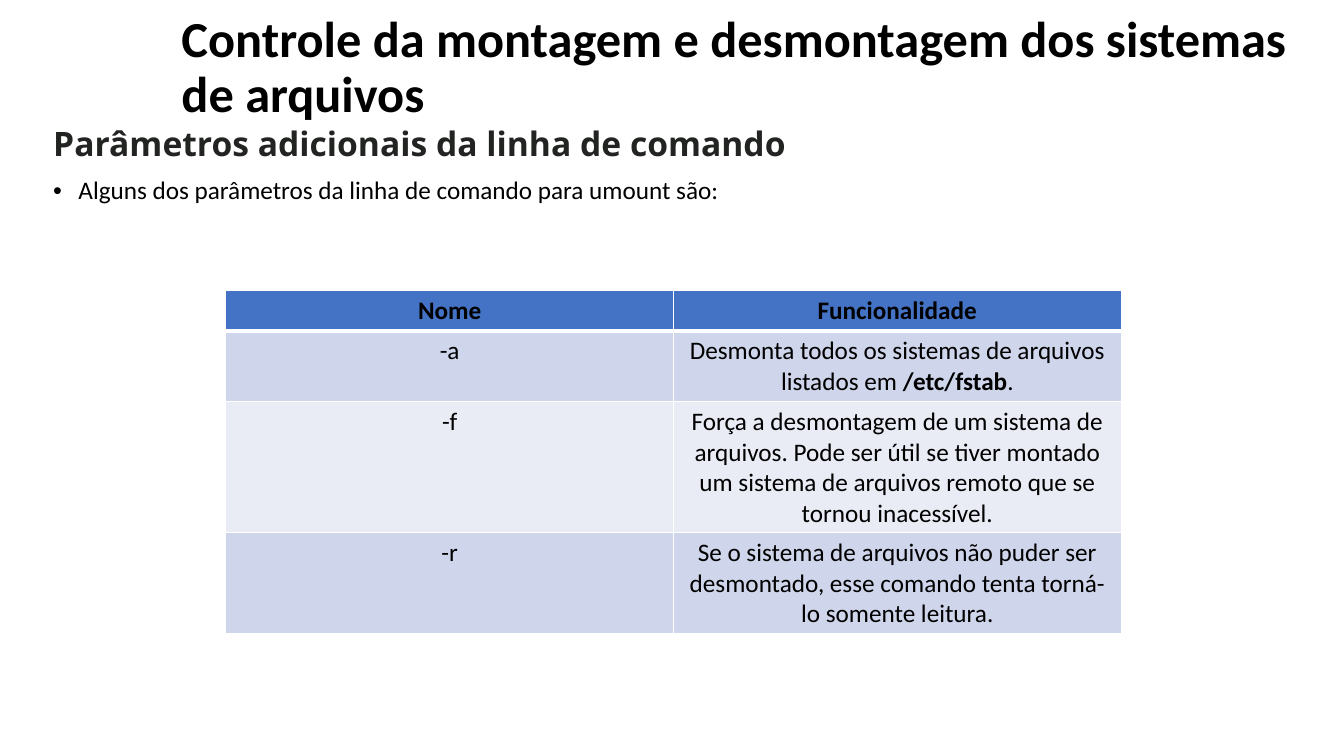
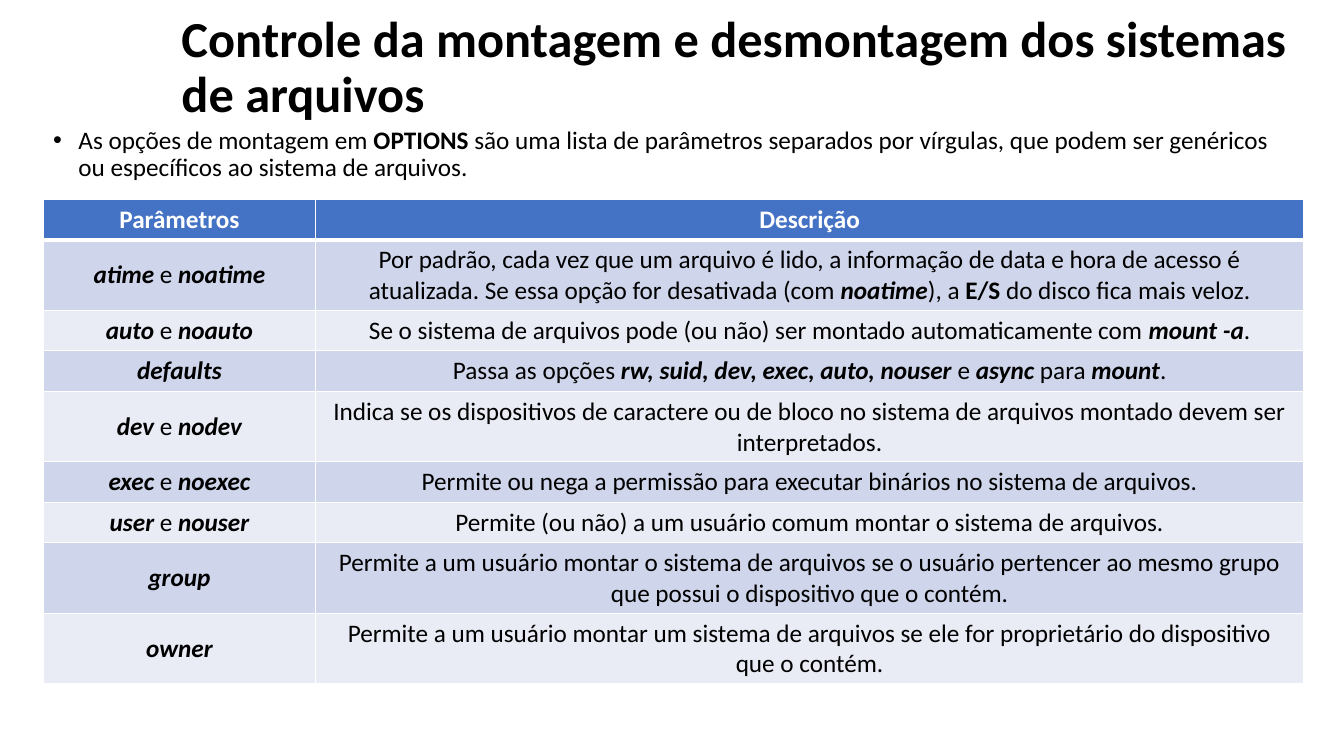
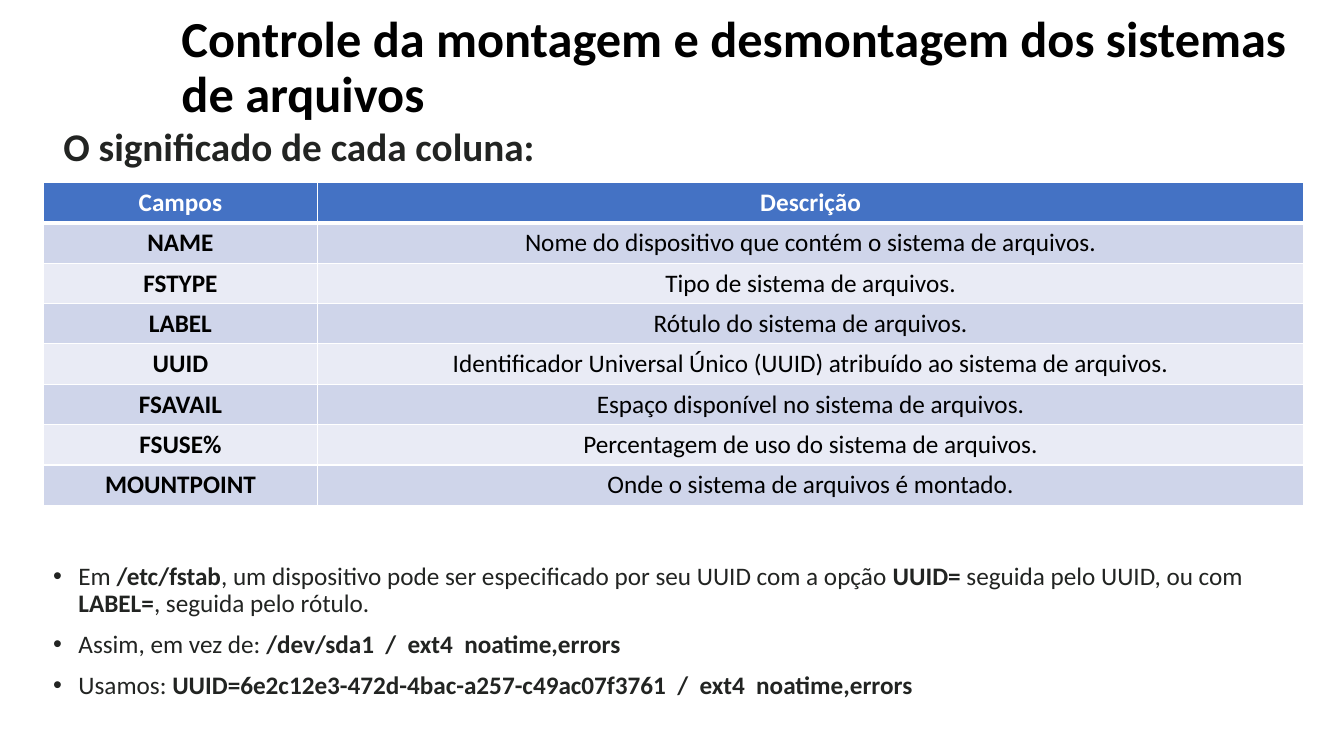
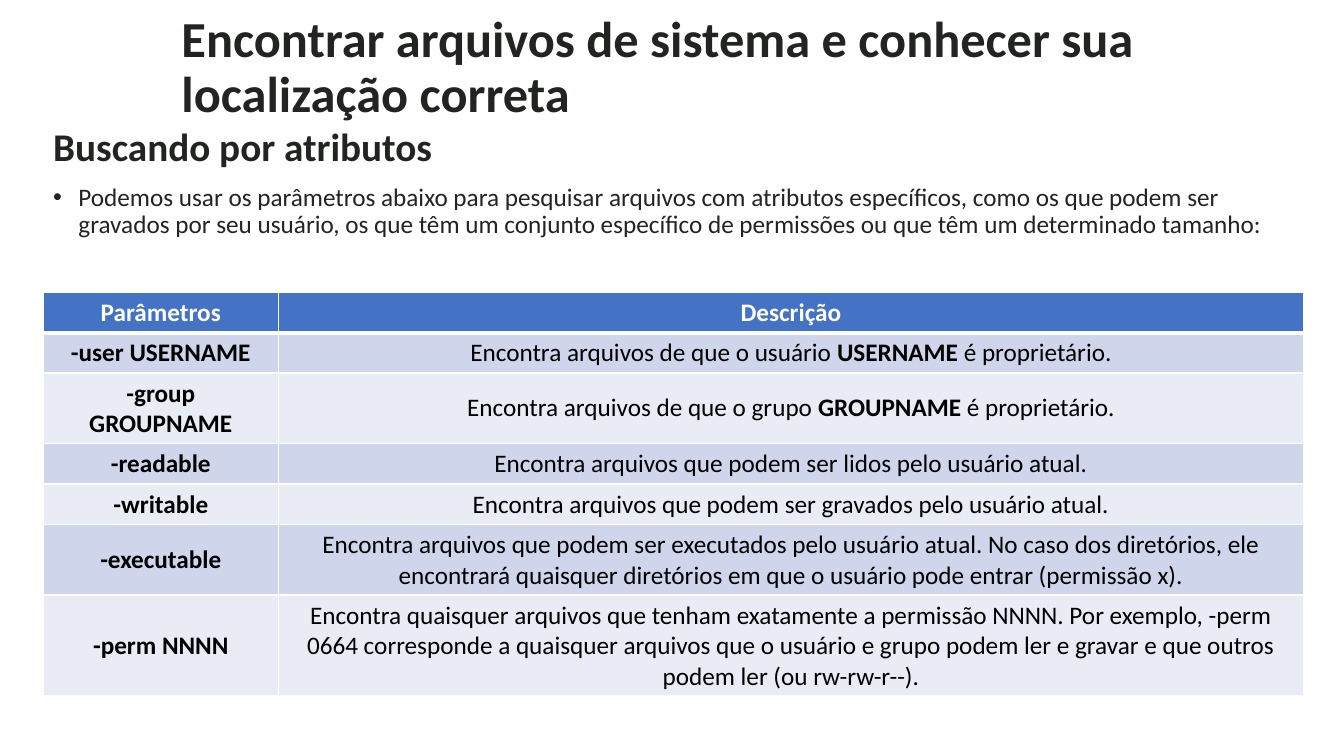
from lxml import etree
from pptx import Presentation
from pptx import util as u
from pptx.dml.color import RGBColor
from pptx.enum import text
from pptx.oxml import ns

COLORS = {
    "black": "000000",
    "ink": "222422",
    "white": "FFFFFF",
    "header": "4472C4",
    "band_dark": "CFD5EA",
    "band_light": "E9EBF5",
}
MOUNT_TITLE = "Controle da montagem e desmontagem dos sistemas de arquivos"
FIND_TITLE = "Encontrar arquivos de sistema e conhecer sua localização correta"


class Deck:
    """Shared style, and the slide being filled."""

    font = "Calibri"
    left, width = 0.43, 12.5
    body_top = 1.22
    row_height = 0.4  # rows grow with their text

    def __init__(self):
        self.presentation = Presentation()
        self.presentation.slide_width = u.Inches(13.33)
        self.presentation.slide_height = u.Inches(7.5)
        self.slide = None

    def add_slide(self, title, color="black"):
        layout = self.presentation.slide_layouts[5]
        self.slide = self.presentation.slides.add_slide(layout)
        shape = self.slide.shapes.title
        shape.left, shape.top = u.Inches(1.7), u.Inches(0.26)
        shape.width, shape.height = u.Inches(11.23), u.Inches(0.84)
        frame = shape.text_frame
        frame.word_wrap = True
        frame.auto_size = text.MSO_AUTO_SIZE.NONE
        frame.vertical_anchor = text.MSO_ANCHOR.MIDDLE
        paragraph = frame.paragraphs[0]
        paragraph.alignment = text.PP_ALIGN.LEFT
        paragraph.line_spacing = 0.9
        self.add_runs(paragraph, f"*{title}*", 36, color)

    def add_runs(self, paragraph, marked, size=18, color="black", font=None):
        """Add runs: *bold*, _bold italic_."""
        for i, piece in enumerate(marked.split("*")):
            for j, part in enumerate(piece.split("_")):
                if not part:
                    continue
                run = paragraph.add_run()
                run.text = part
                run.font.name = font or self.font
                run.font.size = u.Pt(size)
                run.font.bold = bool(i % 2 or j % 2)
                run.font.italic = bool(j % 2)
                run.font.color.rgb = RGBColor.from_string(COLORS[color])

    def indent(self, paragraph, margin, bullet=False):
        properties = paragraph._p.get_or_add_pPr()
        properties.set("marL", str(u.Inches(margin)))
        if bullet:
            properties.set("indent", str(-u.Inches(margin)))
            bullet_font = etree.SubElement(properties, ns.qn("a:buFont"))
            bullet_font.set("typeface", "Arial")
            etree.SubElement(properties, ns.qn("a:buChar")).set("char", "•")

    def body(self, bullets=(), heading=None, top=body_top, height=1.2,
             color="black", heading_size=28, heading_font=None,
             heading_indent=0):
        box = self.slide.shapes.add_textbox(
            u.Inches(self.left), u.Inches(top),
            u.Inches(self.width), u.Inches(height))
        frame = box.text_frame
        frame.word_wrap = True
        lines = ([heading] if heading else []) + list(bullets)
        for number, line in enumerate(lines):
            paragraph = frame.add_paragraph() if number else frame.paragraphs[0]
            paragraph.line_spacing = 0.9
            if number:
                paragraph.space_before = u.Pt(10)
            if line is heading:
                self.indent(paragraph, heading_indent)
                self.add_runs(paragraph, f"*{line}*", heading_size, "ink", heading_font)
            else:
                self.indent(paragraph, 0.25, bullet=True)
                self.add_runs(paragraph, line, color=color)

    def borders(self, cell, top, bottom):
        properties = cell._tc.get_or_add_tcPr()
        for side, points in (("L", 1), ("R", 1), ("T", top), ("B", bottom)):
            line = etree.SubElement(properties, ns.qn(f"a:ln{side}"))
            line.set("w", str(u.Pt(points)))
            fill = etree.SubElement(line, ns.qn("a:solidFill"))
            etree.SubElement(fill, ns.qn("a:srgbClr")).set("val", COLORS["white"])

    def table(self, top, columns, rows, left=left, header_color="white",
              anchor=text.MSO_ANCHOR.MIDDLE):
        """Draw a banded table; the first of the rows is the header."""
        table = self.slide.shapes.add_table(
            len(rows), len(columns), u.Inches(left), u.Inches(top),
            u.Inches(sum(columns)), u.Inches(self.row_height * len(rows))).table
        table.horz_banding = False
        for column, width in zip(table.columns, columns):
            column.width = u.Inches(width)
        for r, row in enumerate(rows):
            band = "header" if r == 0 else "band_dark" if r % 2 else "band_light"
            for c, marked in enumerate(row):
                cell = table.cell(r, c)
                self.borders(cell, top=3 if r == 1 else 1, bottom=1 if r else 3)
                cell.fill.solid()
                cell.fill.fore_color.rgb = RGBColor.from_string(COLORS[band])
                cell.vertical_anchor = anchor
                paragraph = cell.text_frame.paragraphs[0]
                paragraph.alignment = text.PP_ALIGN.CENTER
                self.add_runs(paragraph, marked, color="black" if r else header_color)


def main():
    deck = Deck()

    # Parameters of umount
    deck.add_slide(MOUNT_TITLE)
    deck.body(["Alguns dos parâmetros da linha de comando para umount são:"],
              heading="Parâmetros adicionais da linha de comando",
              heading_size=24, heading_font="Noto Sans")
    deck.table(2.88, [4.44, 4.44], [
        ("*Nome*", "*Funcionalidade*"),
        ("-a", "Desmonta todos os sistemas de arquivos listados em */etc/fstab*."),
        ("-f", "Força a desmontagem de um sistema de arquivos. Pode ser útil se "
               "tiver montado um sistema de arquivos remoto que se tornou inacessível."),
        ("-r", "Se o sistema de arquivos não puder ser desmontado, esse comando "
               "tenta torná-lo somente leitura."),
    ], left=2.24, header_color="black", anchor=text.MSO_ANCHOR.TOP)

    # Mount options
    deck.add_slide(MOUNT_TITLE)
    deck.body(["As opções de montagem em *OPTIONS* são uma lista de parâmetros "
               "separados por vírgulas, que podem ser genéricos ou específicos "
               "ao sistema de arquivos."], height=0.7)
    deck.table(1.98, [2.7, 9.8], [
        ("*Parâmetros*", "*Descrição*"),
        ("_atime_ e _noatime_",
         "Por padrão, cada vez que um arquivo é lido, a informação de data e hora "
         "de acesso é atualizada. Se essa opção for desativada (com _noatime_), "
         "a *E/S* do disco fica mais veloz."),
        ("_auto_ e _noauto_",
         "Se o sistema de arquivos pode (ou não) ser montado automaticamente "
         "com _mount -a_."),
        ("_defaults_",
         "Passa as opções _rw, suid, dev, exec, auto, nouser_ e _async_ para _mount_."),
        ("_dev_ e _nodev_",
         "Indica se os dispositivos de caractere ou de bloco no sistema de arquivos "
         "montado devem ser interpretados."),
        ("_exec_ e _noexec_",
         "Permite ou nega a permissão para executar binários no sistema de arquivos."),
        ("_user_ e _nouser_",
         "Permite (ou não) a um usuário comum montar o sistema de arquivos."),
        ("_group_",
         "Permite a um usuário montar o sistema de arquivos se o usuário pertencer "
         "ao mesmo grupo que possui o dispositivo que o contém."),
        ("_owner_",
         "Permite a um usuário montar um sistema de arquivos se ele for "
         "proprietário do dispositivo que o contém."),
    ])

    # Columns of the file system listing
    deck.add_slide(MOUNT_TITLE)
    deck.body(heading="O significado de cada coluna:", heading_indent=0.1, height=0.55)
    deck.table(1.81, [2.72, 9.78], [
        ("*Campos*", "*Descrição*"),
        ("*NAME*", "Nome do dispositivo que contém o sistema de arquivos."),
        ("*FSTYPE*", "Tipo de sistema de arquivos."),
        ("*LABEL*", "Rótulo do sistema de arquivos."),
        ("*UUID*", "Identificador Universal Único (UUID) atribuído ao sistema de arquivos."),
        ("*FSAVAIL*", "Espaço disponível no sistema de arquivos."),
        ("*FSUSE%*", "Percentagem de uso do sistema de arquivos."),
        ("*MOUNTPOINT*", "Onde o sistema de arquivos é montado."),
    ])
    deck.body([
        "Em */etc/fstab*, um dispositivo pode ser especificado por seu UUID com a "
        "opção *UUID=* seguida pelo UUID, ou com *LABEL=*, seguida pelo rótulo.",
        "Assim, em vez de: */dev/sda1  /  ext4  noatime,errors*",
        "Usamos: *UUID=6e2c12e3-472d-4bac-a257-c49ac07f3761  /  ext4  noatime,errors*",
    ], top=5.54, height=1.5, color="ink")

    # Searching by attributes
    deck.add_slide(FIND_TITLE, color="ink")
    deck.body(["Podemos usar os parâmetros abaixo para pesquisar arquivos com "
               "atributos específicos, como os que podem ser gravados por seu "
               "usuário, os que têm um conjunto específico de permissões ou que "
               "têm um determinado tamanho:"],
              heading="Buscando por atributos", color="ink")
    deck.table(2.9, [2.33, 10.17], [
        ("*Parâmetros*", "*Descrição*"),
        ("*-user USERNAME*",
         "Encontra arquivos de que o usuário *USERNAME* é proprietário."),
        ("*-group GROUPNAME*",
         "Encontra arquivos de que o grupo *GROUPNAME* é proprietário."),
        ("*-readable*", "Encontra arquivos que podem ser lidos pelo usuário atual."),
        ("*-writable*", "Encontra arquivos que podem ser gravados pelo usuário atual."),
        ("*-executable*",
         "Encontra arquivos que podem ser executados pelo usuário atual. No caso "
         "dos diretórios, ele encontrará quaisquer diretórios em que o usuário "
         "pode entrar (permissão x)."),
        ("*-perm NNNN*",
         "Encontra quaisquer arquivos que tenham exatamente a permissão NNNN. Por "
         "exemplo, -perm 0664 corresponde a quaisquer arquivos que o usuário e "
         "grupo podem ler e gravar e que outros podem ler (ou rw-rw-r--)."),
    ])

    deck.presentation.save("out.pptx")


if __name__ == "__main__":
    main()
